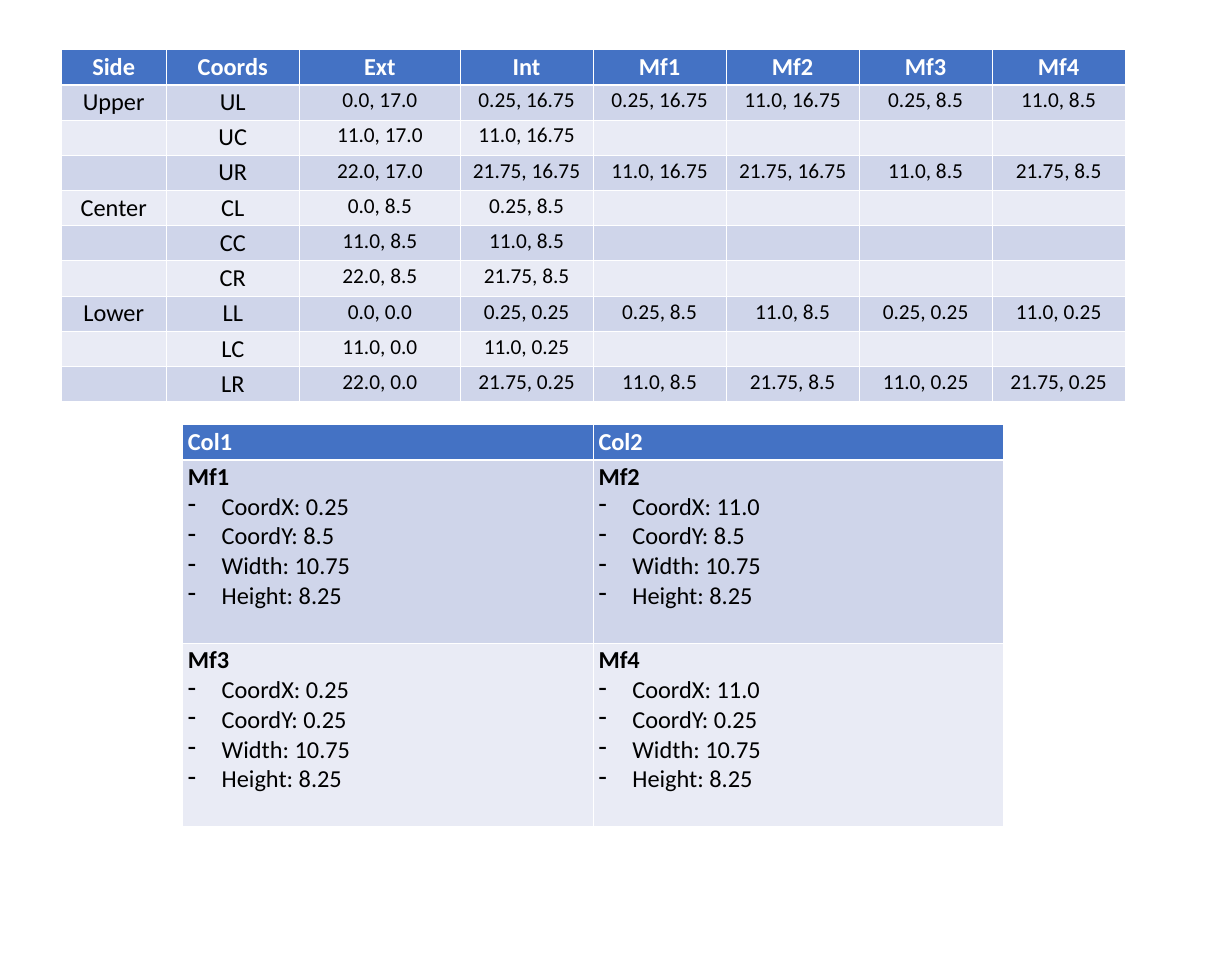
from dataclasses import dataclass

from lxml import etree
from pptx import Presentation
from pptx.dml.color import RGBColor
from pptx.enum.text import PP_ALIGN
from pptx.oxml.ns import qn
from pptx.util import Cm, Pt

LEFT, CENTER = PP_ALIGN.LEFT, PP_ALIGN.CENTER


@dataclass(frozen=True)
class Theme:
    font: str = "Calibri"
    size: int = 32
    coord_size: int = 28
    header: str = "4472C4"
    bands: tuple = ("CFD5EA", "E9EBF5")
    white: str = "FFFFFF"
    black: str = "000000"
    rule: int = 1
    header_rule: int = 3


THEME = Theme()
ROW_HEIGHT = 1.63
PANEL_HEIGHT = 8.51
BULLET_INDENT = 1.57

COORD_WIDTHS = [4.85, 6.2, 7.44] + [6.17] * 5
COORD_HEADER = ["Side", "Coords", "Ext", "Int", "Mf1", "Mf2", "Mf3", "Mf4"]
COORD_ROWS = [
    ["Upper", "UL", "0.0, 17.0", "0.25, 16.75", "0.25, 16.75", "11.0, 16.75", "0.25, 8.5", "11.0, 8.5"],
    ["", "UC", "11.0, 17.0", "11.0, 16.75", "", "", "", ""],
    ["", "UR", "22.0, 17.0", "21.75, 16.75", "11.0, 16.75", "21.75, 16.75", "11.0, 8.5", "21.75, 8.5"],
    ["Center", "CL", "0.0, 8.5", "0.25, 8.5", "", "", "", ""],
    ["", "CC", "11.0, 8.5", "11.0, 8.5", "", "", "", ""],
    ["", "CR", "22.0, 8.5", "21.75, 8.5", "", "", "", ""],
    ["Lower", "LL", "0.0, 0.0", "0.25, 0.25", "0.25, 8.5", "11.0, 8.5", "0.25, 0.25", "11.0, 0.25"],
    ["", "LC", "11.0, 0.0", "11.0, 0.25", "", "", "", ""],
    ["", "LR", "22.0, 0.0", "21.75, 0.25", "11.0, 8.5", "21.75, 8.5", "11.0, 0.25", "21.75, 0.25"],
]
PANEL_ROWS = [
    [("Mf1", "0.25", "8.5"), ("Mf2", "11.0", "8.5")],
    [("Mf3", "0.25", "0.25"), ("Mf4", "11.0", "0.25")],
]


def write_text(p, text, size=THEME.size, color=THEME.black, bold=False, align=LEFT, bullet=None):
    p.alignment = align
    if bullet:
        pPr = p._p.get_or_add_pPr()
        pPr.set("marL", str(Cm(BULLET_INDENT)))
        pPr.set("indent", str(-Cm(BULLET_INDENT)))
        etree.SubElement(pPr, qn("a:buChar"), char=bullet)
    r = p.add_run()
    r.text = text
    r.font.name = THEME.font
    r.font.size = Pt(size)
    r.font.bold = bold
    r.font.color.rgb = RGBColor.from_string(color)


class SlideBuilder:
    def __init__(self, slide, theme):
        self.slide = slide
        self.theme = theme

    def border(self, cell, side, width):
        tcPr = cell._tc.get_or_add_tcPr()
        ln = etree.SubElement(tcPr, qn(f"a:ln{side}"), w=str(Pt(width)))
        fill = etree.SubElement(ln, qn("a:solidFill"))
        etree.SubElement(fill, qn("a:srgbClr"), val=self.theme.white)

    def cell(self, cell, lines, row):
        t = self.theme
        rules = {side: t.rule for side in "LRTB"}
        if row == 0:
            rules["B"] = t.header_rule
        elif row == 1:
            rules["T"] = t.header_rule
        for side, width in rules.items():
            self.border(cell, side, width)
        cell.fill.solid()
        color = t.bands[(row - 1) % 2] if row else t.header
        cell.fill.fore_color.rgb = RGBColor.from_string(color)
        tf = cell.text_frame
        for i, (text, style) in enumerate(lines):
            p = tf.add_paragraph() if i else tf.paragraphs[0]
            write_text(p, text, **style)

    def table(self, left, top, widths, heights, rows):
        frame = self.slide.shapes.add_table(
            len(heights), len(widths), Cm(left), Cm(top), Cm(sum(widths)), Cm(sum(heights)))
        table = frame.table
        table.horz_banding = False
        for column, width in zip(table.columns, widths):
            column.width = Cm(width)
        for row, height in zip(table.rows, heights):
            row.height = Cm(height)
        for i, cells in enumerate(rows):
            for j, lines in enumerate(cells):
                self.cell(table.cell(i, j), lines, i)


def header_cells(labels, align):
    return [[(label, dict(color=THEME.white, bold=True, align=align))] for label in labels]


def coord_cells(values):
    sizes = [THEME.size] * 2 + [THEME.coord_size] * (len(values) - 2)
    return [[(text, dict(size=size, align=CENTER))] if text else []
            for text, size in zip(values, sizes)]


def panel_lines(name, x, y):
    facts = [f"CoordX: {x}", f"CoordY: {y}", "Width: 10.75", "Height: 8.25"]
    return [(name, dict(bold=True))] + [(fact, dict(bullet="-")) for fact in facts]


def main():
    prs = Presentation()
    prs.slide_width, prs.slide_height = Cm(57.15), Cm(44.45)
    s = SlideBuilder(prs.slides.add_slide(prs.slide_layouts[6]), THEME)
    coords = [header_cells(COORD_HEADER, CENTER)] + [coord_cells(row) for row in COORD_ROWS]
    s.table(2.85, 2.29, COORD_WIDTHS, [ROW_HEIGHT] * len(coords), coords)
    panels = [header_cells(["Col1", "Col2"], LEFT)]
    panels += [[panel_lines(*panel) for panel in row] for row in PANEL_ROWS]
    s.table(8.46, 19.69, [19.05] * 2, [ROW_HEIGHT] + [PANEL_HEIGHT] * 2, panels)
    prs.save("out.pptx")


if __name__ == "__main__":
    main()
